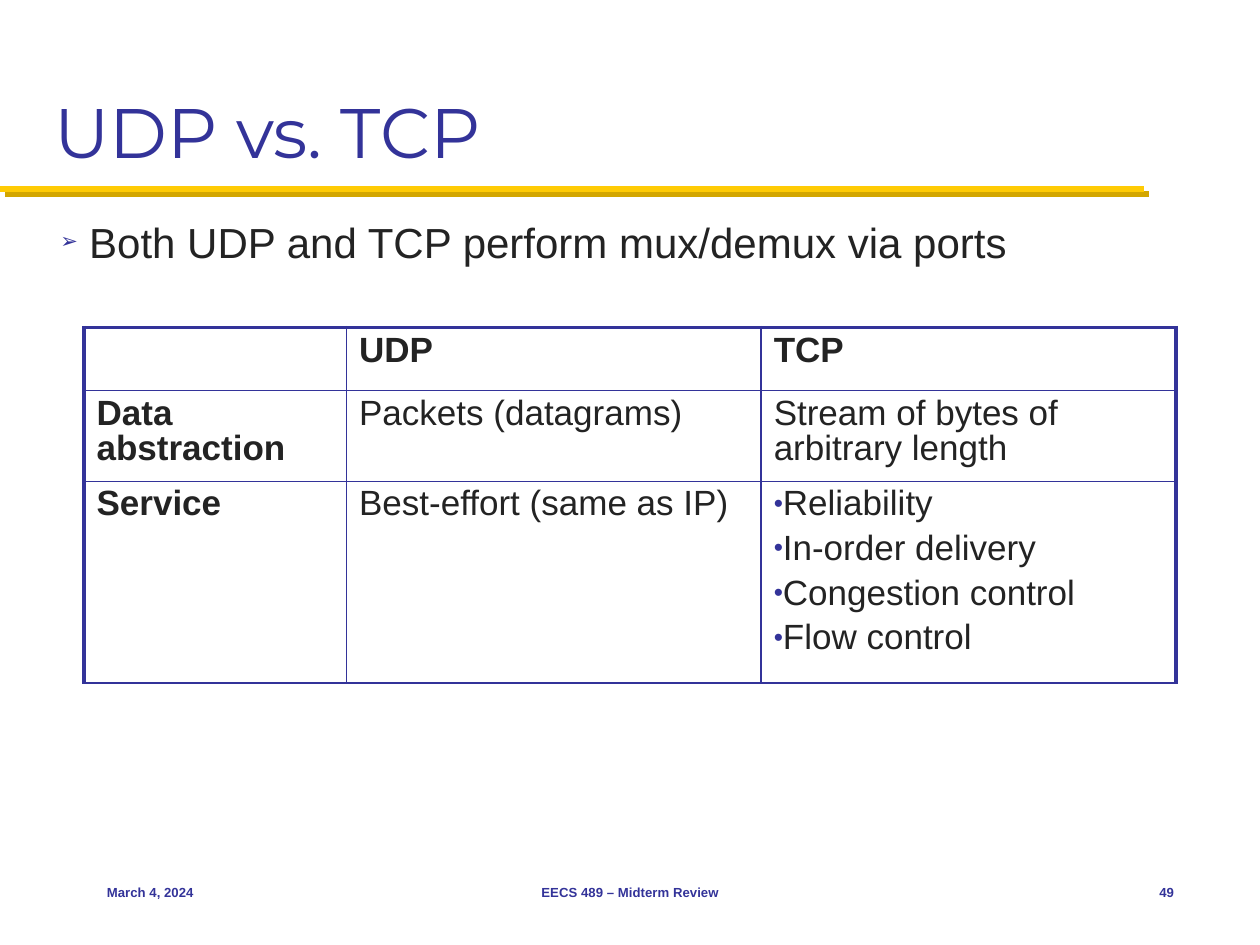
"""Build the slide that compares UDP with TCP."""
from lxml import etree
from pptx import Presentation
from pptx.dml.color import RGBColor
from pptx.enum.shapes import MSO_CONNECTOR
from pptx.enum.text import MSO_ANCHOR, PP_ALIGN
from pptx.oxml import parse_xml
from pptx.oxml.ns import nsdecls, qn
from pptx.util import Pt

STRAIGHT = MSO_CONNECTOR.STRAIGHT
TOP, MIDDLE, BOTTOM = MSO_ANCHOR.TOP, MSO_ANCHOR.MIDDLE, MSO_ANCHOR.BOTTOM
LEFT, CENTER, RIGHT = PP_ALIGN.LEFT, PP_ALIGN.CENTER, PP_ALIGN.RIGHT
BLUE = RGBColor(0x33, 0x33, 0x99)
DARK = RGBColor(0x23, 0x23, 0x23)
YELLOW = RGBColor(0xFF, 0xCB, 0x05)
OCHRE = RGBColor(0xD3, 0xA6, 0x00)
THIN, THICK = 1, 2.25


def write_text(frame, lines, size, color, font="Arial", bold=False, align=LEFT, anchor=TOP,
               spacing=None, before=0, bullet=None, bullet_size=100, margin=0, indent=0):
    frame.word_wrap = True
    frame.vertical_anchor = anchor
    for index, line in enumerate(lines):
        paragraph = frame.paragraphs[0] if index == 0 else frame.add_paragraph()
        paragraph.alignment = align
        if spacing:
            paragraph.line_spacing = spacing
        if index:
            paragraph.space_before = Pt(before)
        if bullet:
            properties = paragraph._p.get_or_add_pPr()
            properties.set("marL", str(Pt(margin)))
            properties.set("indent", str(Pt(indent)))
            bullet_color = etree.SubElement(properties, qn("a:buClr"))
            etree.SubElement(bullet_color, qn("a:srgbClr"), val=str(BLUE))
            etree.SubElement(properties, qn("a:buSzPct"), val=str(bullet_size * 1000))
            etree.SubElement(properties, qn("a:buFont"), typeface="Arial")
            etree.SubElement(properties, qn("a:buChar"), char=bullet)
        run = paragraph.add_run()
        run.text = line
        run.font.name = font
        run.font.size = Pt(size)
        run.font.bold = bold
        run.font.color.rgb = color


def set_borders(cell, widths):
    properties = cell._tc.get_or_add_tcPr()
    for index, (side, width) in enumerate(widths.items()):
        properties.insert(index, parse_xml(
            f'<a:ln{side} {nsdecls("a")} w="{Pt(width)}"><a:solidFill>'
            f'<a:srgbClr val="{BLUE}"/></a:solidFill></a:ln{side}>'))


presentation = Presentation()
presentation.slide_width = Pt(720)
presentation.slide_height = Pt(540)
slide = presentation.slides.add_slide(presentation.slide_layouts[6])

rule = slide.shapes.add_connector(STRAIGHT, Pt(0), Pt(108), Pt(653.76), Pt(108))
rule.line.color.rgb = YELLOW
rule.line.width = Pt(3.5)
rule._element.spPr.append(parse_xml(
    f'<a:effectLst {nsdecls("a")}><a:outerShdw dist="{Pt(4.2)}" dir="2700000" algn="ctr" '
    f'rotWithShape="0"><a:srgbClr val="{OCHRE}"/></a:outerShdw></a:effectLst>'))

text_boxes = [
    ((24, 12, 672, 90), "UDP vs. TCP",
     dict(size=40, color=BLUE, font="Montserrat", anchor=BOTTOM)),
    ((0, 120, 636, 54), "Both UDP and TCP perform mux/demux via ports",
     dict(size=24, color=DARK, bullet="➢", bullet_size=50, margin=43.92, indent=-16.56)),
]
footer = dict(size=7.5, color=BLUE, bold=True, anchor=MIDDLE)
for left, width, text, align in [
    (54, 150, "March 4, 2024", LEFT),
    (246, 228, "EECS 489 – Midterm Review", CENTER),
    (630, 48, "49", RIGHT),
]:
    text_boxes.append(((left, 492, width, 36), text, dict(footer, align=align)))

for box, text, text_format in text_boxes:
    shape = slide.shapes.add_textbox(*map(Pt, box))
    write_text(shape.text_frame, [text], **text_format)

rows = [
    [[], ["UDP"], ["TCP"]],
    [["Data abstraction"], ["Packets (datagrams)"], ["Stream of bytes of arbitrary length"]],
    [["Service"], ["Best-effort (same as IP)"],
     ["Reliability", "In-order delivery", "Congestion control", "Flow control"]],
]
column_widths = [150, 237, 237]
row_heights = [36, 51.84, 115.2]
table = slide.shapes.add_table(len(rows), len(column_widths), Pt(48), Pt(187.2),
                               Pt(sum(column_widths)), Pt(sum(row_heights))).table
table.first_row = False
table.horz_banding = False
for column, width in zip(table.columns, column_widths):
    column.width = Pt(width)
for row, height in zip(table.rows, row_heights):
    row.height = Pt(height)

last_column = len(column_widths) - 1
for row_index, row in enumerate(rows):
    for column_index, lines in enumerate(row):
        cell = table.cell(row_index, column_index)
        cell.fill.background()
        set_borders(cell, {
            "L": THICK if column_index == 0 else THIN,
            "R": THICK if column_index == last_column else THIN,
            "T": THICK if row_index == 0 else THIN,
            "B": THIN,
        })
        write_text(cell.text_frame, lines, size=20, color=DARK,
                   bold=row_index == 0 or column_index == 0, spacing=0.9, before=5.5,
                   bullet="•" if len(lines) > 1 else None, bullet_size=75)

presentation.save("out.pptx")
